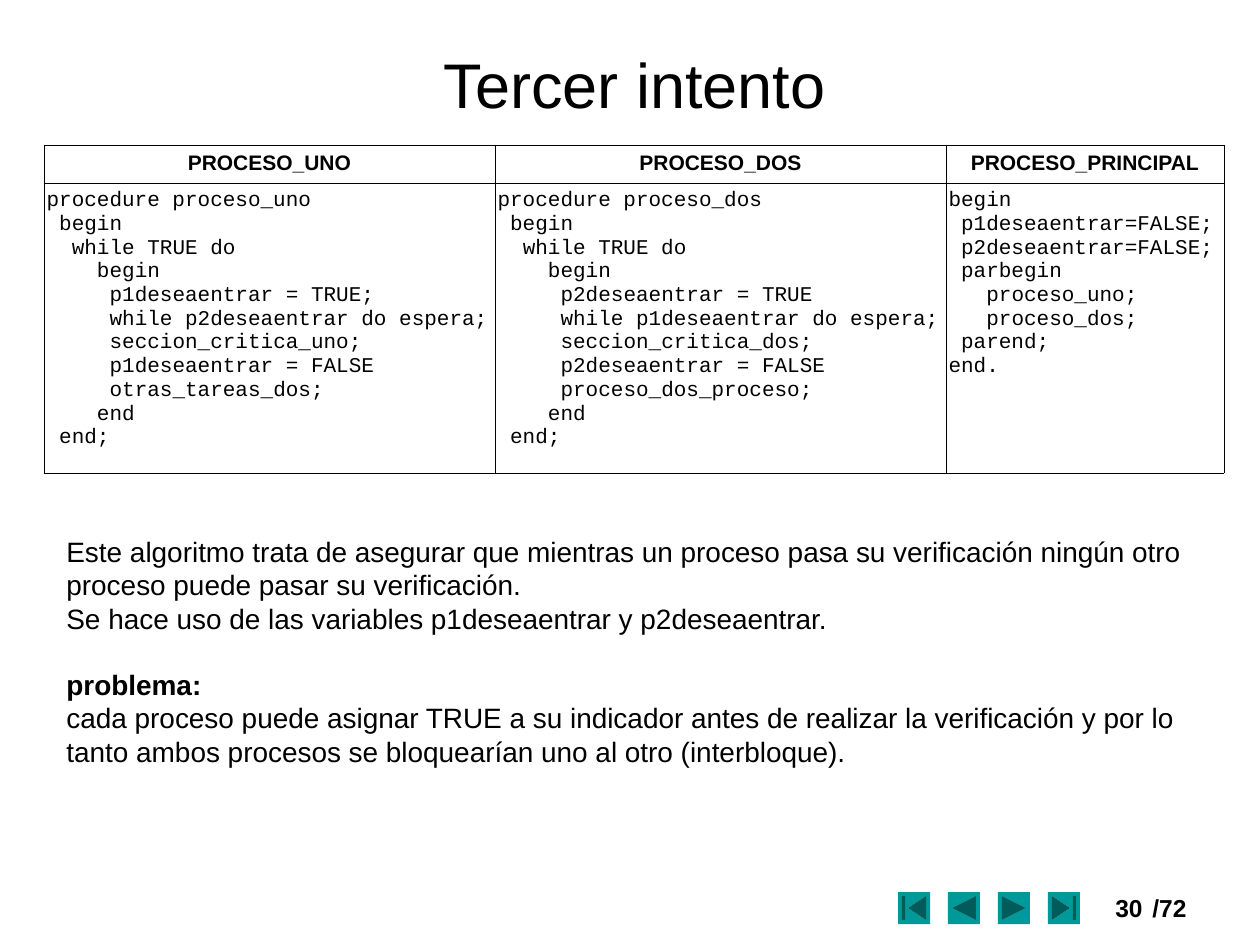
from dataclasses import dataclass

from lxml import etree
from pptx import Presentation
from pptx.dml.color import RGBColor
from pptx.enum import shapes, text
from pptx.oxml import ns
from pptx.util import Pt

PX = 914400 / 126


@dataclass(frozen=True)
class Theme:
    ink: RGBColor = RGBColor(0, 0, 0)
    button: RGBColor = RGBColor(0x00, 0x99, 0x99)
    sans: str = "Arial"
    mono: str = "Courier New"
    title: int = 36
    body: int = 16
    footer: int = 14
    code: int = 12
    border: float = 0.45


THEME = Theme()

PROCESSES = [
    ("PROCESO_UNO", 451, """procedure proceso_uno
 begin
  while TRUE do
    begin
     p1deseaentrar = TRUE;
     while p2deseaentrar do espera;
     seccion_critica_uno;
     p1deseaentrar = FALSE
     otras_tareas_dos;
    end
 end;"""),
    ("PROCESO_DOS", 451, """procedure proceso_dos
 begin
  while TRUE do
    begin
     p2deseaentrar = TRUE
     while p1deseaentrar do espera;
     seccion_critica_dos;
     p2deseaentrar = FALSE
     proceso_dos_proceso;
    end
 end;"""),
    ("PROCESO_PRINCIPAL", 278, """begin
 p1deseaentrar=FALSE;
 p2deseaentrar=FALSE;
 parbegin
   proceso_uno;
   proceso_dos;
 parend;
end."""),
]

EXPLANATION = [
    "Este algoritmo trata de asegurar que mientras un proceso pasa su verificación "
    "ningún otro proceso puede pasar su verificación.",
    "Se hace uso de las variables p1deseaentrar y p2deseaentrar.",
]
PROBLEM = [
    "problema:",
    "cada proceso puede asignar TRUE a su indicador antes de realizar la verificación "
    "y por lo tanto ambos procesos se bloquearían uno al otro (interbloque).",
]


def px(*lengths):
    """Turn pixel lengths into EMU."""
    return [round(n * PX) for n in lengths]


def style(p, size, font=THEME.sans, bold=False, align=text.PP_ALIGN.LEFT):
    """Format a whole paragraph."""
    p.font.size, p.font.name, p.font.bold = Pt(size), font, bold
    p.font.color.rgb = THEME.ink
    p.alignment = align


def write_lines(tf, lines, **look):
    """Fill a text frame with one paragraph per line and return the paragraphs."""
    tf.text = "\n".join(lines)
    for p in tf.paragraphs:
        style(p, **look)
    return tf.paragraphs


def add_title(slide, box, words):
    """Place the title placeholder in the box."""
    sp = slide.shapes.title
    sp.left, sp.top, sp.width, sp.height = px(*box)
    tf = sp.text_frame
    tf.vertical_anchor = text.MSO_ANCHOR.MIDDLE
    tf.margin_left = tf.margin_right = tf.margin_top = tf.margin_bottom = Pt(1.5)
    write_lines(tf, [words], size=THEME.title, align=text.PP_ALIGN.CENTER)


def add_borders(cell):
    """Draw thin lines on the four sides of a cell."""
    tc_pr = cell._tc.get_or_add_tcPr()
    for i, side in enumerate(("lnL", "lnR", "lnT", "lnB")):
        ln = etree.Element(ns.qn(f"a:{side}"), w=str(Pt(THEME.border)))
        fill = etree.SubElement(ln, ns.qn("a:solidFill"))
        etree.SubElement(fill, ns.qn("a:srgbClr"), val=str(THEME.ink))
        tc_pr.insert(i, ln)


def write_code(tf, code):
    """Write code lines, turning leading spaces into paragraph indents."""
    lines = code.split("\n")
    stripped = [line.lstrip() for line in lines]
    paragraphs = write_lines(tf, stripped, size=THEME.code, font=THEME.mono)
    for p, line, bare in zip(paragraphs, lines, stripped):
        depth = len(line) - len(bare)
        p._p.get_or_add_pPr().set("marL", str(Pt(depth * THEME.code * 0.6)))


def add_process_table(slide, box, processes, header_height):
    """Place the code table, one column per process."""
    left, top, width, height = box
    table = slide.shapes.add_table(2, len(processes), *px(*box)).table
    table.first_row = table.horz_banding = False
    table.rows[0].height, table.rows[1].height = px(header_height, height - header_height)
    for i, (name, column_width, code) in enumerate(processes):
        table.columns[i].width = px(column_width)[0]
        head, body = table.cell(0, i), table.cell(1, i)
        for cell in (head, body):
            cell.margin_left = cell.margin_right = Pt(1.5)
            cell.fill.background()
            add_borders(cell)
        write_lines(head.text_frame, [name], size=THEME.code, bold=True,
                    align=text.PP_ALIGN.CENTER)
        write_code(body.text_frame, code)


def add_text(slide, box, lines, **look):
    """Place a wrapping text box and return its text frame."""
    tf = slide.shapes.add_textbox(*px(*box)).text_frame
    tf.word_wrap = True
    write_lines(tf, lines, **look)
    return tf


def add_explanation(slide, box, explanation, problem):
    """Place the explanation followed by the problem, set one line apart."""
    tf = add_text(slide, box, explanation + problem, size=THEME.body)
    tf.vertical_anchor = text.MSO_ANCHOR.MIDDLE
    heading = tf.paragraphs[len(explanation)]
    heading.font.bold = True
    heading.space_before = Pt(THEME.body * 1.15)


def add_footer(slide, box, page, total):
    """Place the navigation buttons and the page count in the box."""
    left, top, width, height = box
    size, pitch = 32, 50
    kinds = shapes.MSO_SHAPE
    buttons = (kinds.ACTION_BUTTON_BEGINNING, kinds.ACTION_BUTTON_BACK_OR_PREVIOUS,
               kinds.ACTION_BUTTON_FORWARD_OR_NEXT, kinds.ACTION_BUTTON_END)
    for i, kind in enumerate(buttons):
        x, y = left + i * pitch, top + (height - size) // 2
        sp = slide.shapes.add_shape(kind, *px(x, y, size, size))
        sp.shadow.inherit = False
        sp.fill.solid()
        sp.fill.fore_color.rgb = THEME.button
        sp.line.fill.background()
    look = dict(size=THEME.footer, bold=True)
    add_text(slide, (left + 189, top, 68, height), [page], align=text.PP_ALIGN.RIGHT, **look)
    add_text(slide, (left + 242, top, 66, height), [total], **look)


def main():
    """Build and save the slide."""
    prs = Presentation()
    prs.slide_width, prs.slide_height = px(1260, 945)
    s = prs.slides.add_slide(prs.slide_layouts[5])
    add_footer(s, (898, 887, 308, 42), "30", "/72")
    add_title(s, (44, 43, 1181, 81), "Tercer intento")
    add_process_table(s, (44, 145, 1180, 328), PROCESSES, 38)
    add_explanation(s, (54, 527, 1176, 248), EXPLANATION, PROBLEM)
    prs.save("out.pptx")


if __name__ == "__main__":
    main()
